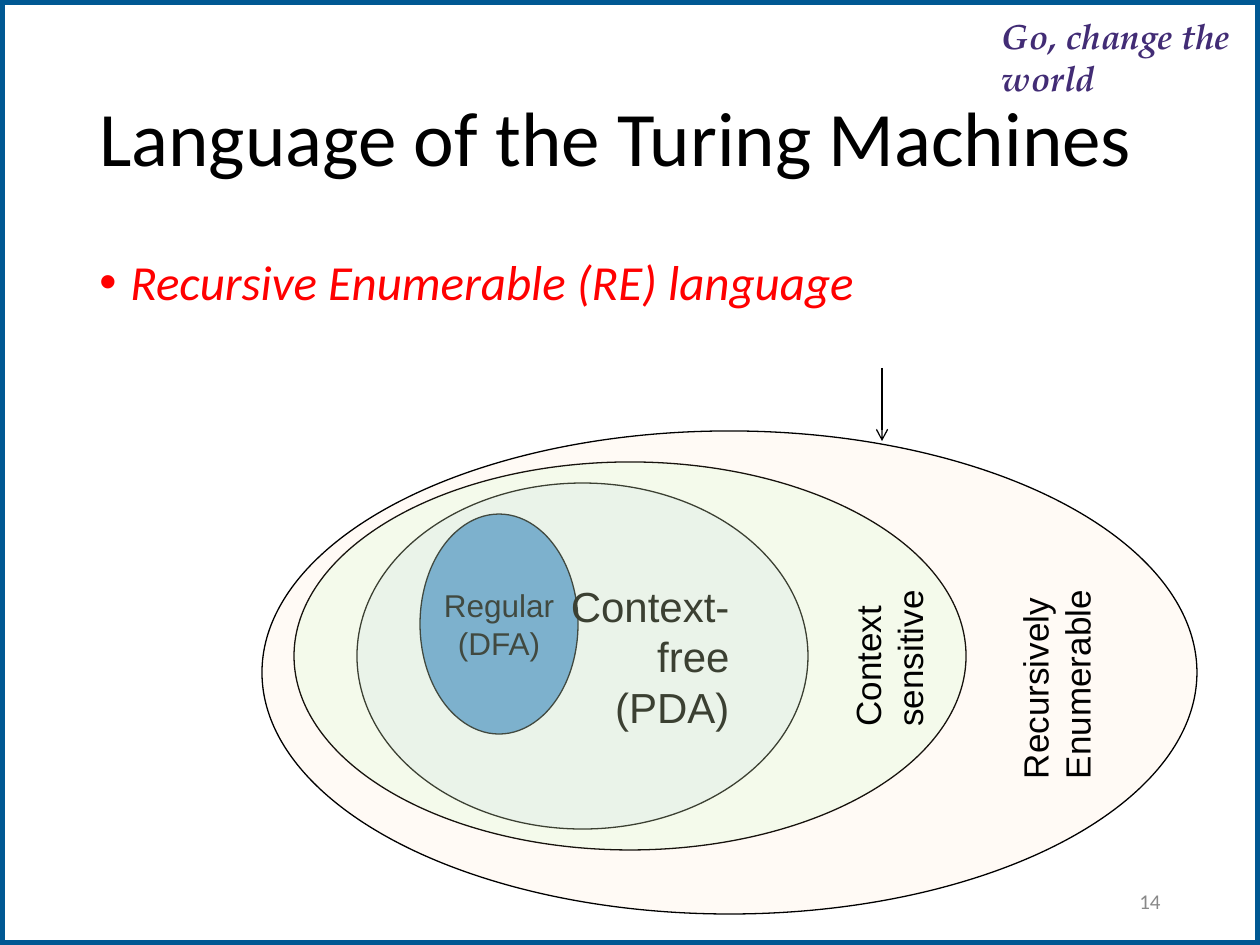
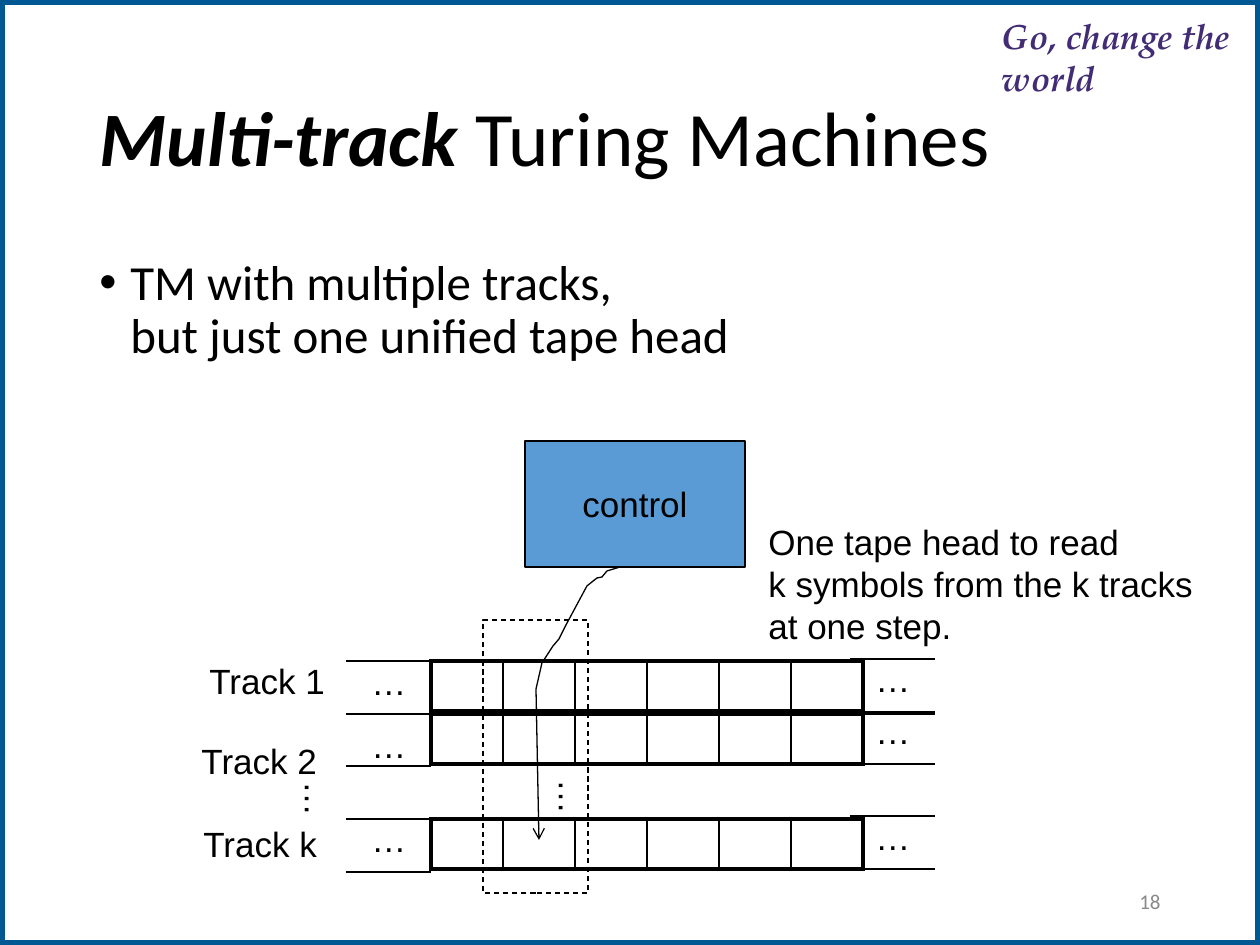
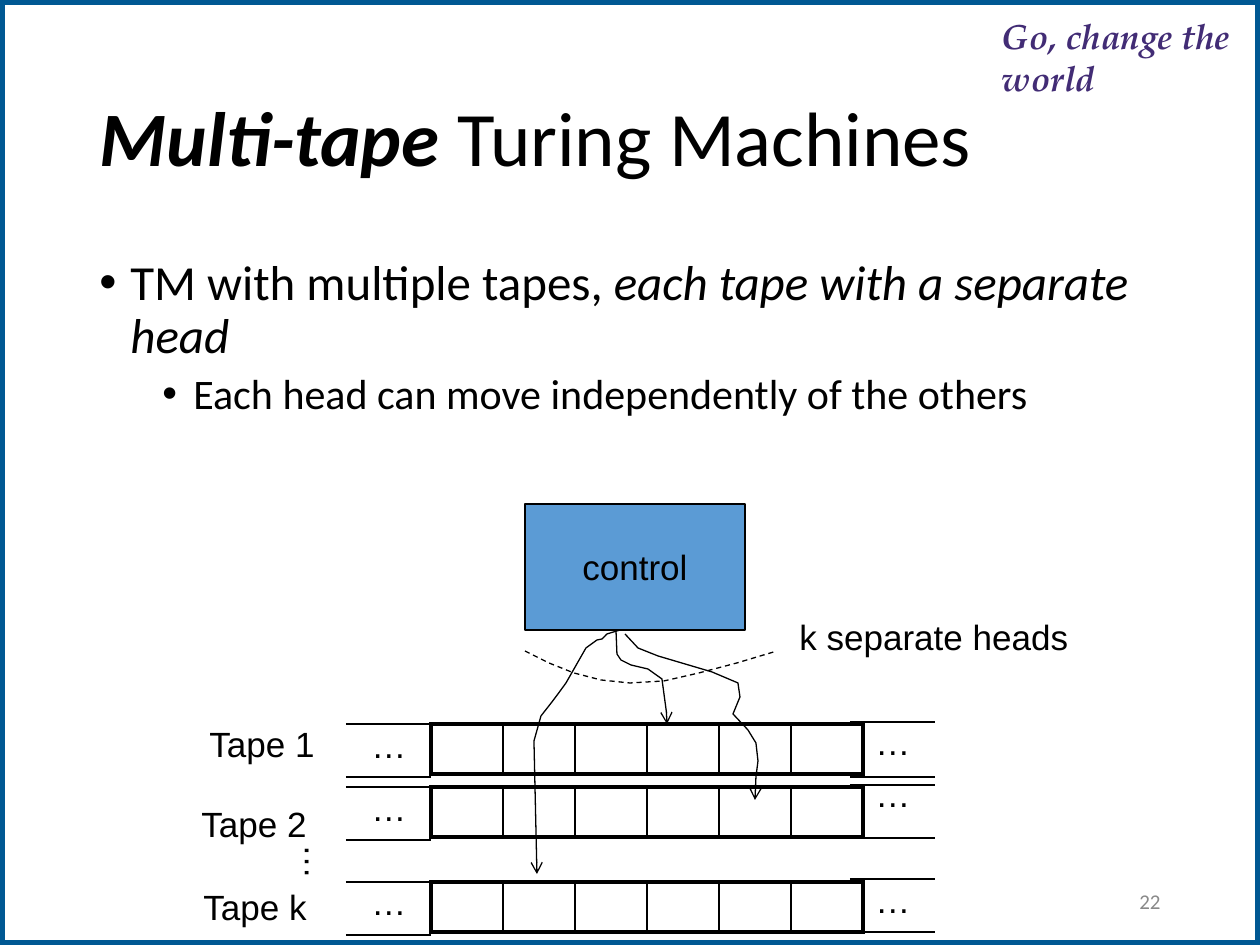
import pptx
import pptx.util
import pptx.dml.color
import pptx.enum.dml
import pptx.enum.shapes
import pptx.enum.text
import pptx.oxml
import pptx.oxml.ns
from lxml import etree

RGB = pptx.dml.color.RGBColor
BLACK = RGB(0x00, 0x00, 0x00)
WHITE = RGB(0xFF, 0xFF, 0xFF)
NAVY = RGB(0x00, 0x58, 0x93)
PURPLE = RGB(0x42, 0x2C, 0x75)
GRAY = RGB(0x89, 0x89, 0x89)
RED = RGB(0xFF, 0x00, 0x00)
BLUE = RGB(0x5B, 0x9B, 0xD5)
GREEN = RGB(0xCC, 0xFF, 0xCC)
PEACH = RGB(0xFF, 0xCC, 0x99)

WIDE, HIGH = 1260, 945
SCALE = 914400 / 126
KIND = pptx.enum.shapes.MSO_SHAPE
ALIGN = pptx.enum.text.PP_ALIGN
MIDDLE = pptx.enum.text.MSO_ANCHOR.MIDDLE
DASH = pptx.enum.dml.MSO_LINE.DASH
BOLD = {"bold": True, "italic": True}
ITALIC = {"italic": True}


def px(*sizes):
    return [pptx.util.Emu(round(size * SCALE)) for size in sizes]


def child(parent, tag, **attrs):
    return etree.SubElement(parent, pptx.oxml.ns.qn(tag), attrs)


def style(font, size, name, color=BLACK, bold=None, italic=None):
    font.size, font.name = pptx.util.Pt(size), name
    font.bold, font.italic = bold, italic
    font.color.rgb = color


def fill_para(para, parts):
    """Add text, given as a string or as (text, font settings) pairs; newlines break lines."""
    pairs = [(parts, {})] if isinstance(parts, str) else parts
    for text, extra in pairs:
        for i, line in enumerate(text.split("\n")):
            if i:
                para.add_line_break()
            run = para.add_run()
            run.text = line
            for key, value in extra.items():
                setattr(run.font, key, value)


def write(frame, paras, size=20, name="Arial", align=ALIGN.LEFT, **look):
    for i, parts in enumerate(paras):
        para = frame.add_paragraph() if i else frame.paragraphs[0]
        para.alignment = align
        style(para.font, size, name, **look)
        fill_para(para, parts)


def label(slide, box, paras, wrap=False, turn=0, **look):
    shape = slide.shapes.add_textbox(*px(*box))
    shape.rotation = turn
    shape.text_frame.word_wrap = wrap
    write(shape.text_frame, paras, **look)
    return shape.text_frame


def outline(shape, color=BLACK, width=0.75, dash=None, arrow=False):
    shape.line.color.rgb = color
    shape.line.width = pptx.util.Pt(width)
    if dash:
        shape.line.dash_style = dash
    if arrow:
        child(shape.line._get_or_add_ln(), "a:tailEnd", type="arrow")


def solid(slide, kind, box, color=None, alpha=None):
    """Add an outlined preset shape; alpha is the opacity in percent."""
    shape = slide.shapes.add_shape(kind, *px(*box))
    shape.shadow.inherit = False
    shape.text_frame.word_wrap = False
    shape.text_frame.vertical_anchor = MIDDLE
    outline(shape)
    if color is None:
        shape.fill.background()
    else:
        shape.fill.solid()
        shape.fill.fore_color.rgb = color
    if alpha:
        tone = shape.fill._xPr.find(".//" + pptx.oxml.ns.qn("a:srgbClr"))
        child(tone, "a:alpha", val=str(alpha * 1000))
    return shape


def line(slide, x1, y1, x2, y2, arrow=False):
    link = slide.shapes.add_connector(
        pptx.enum.shapes.MSO_CONNECTOR.STRAIGHT, *px(x1, y1, x2, y2))
    outline(link, arrow=arrow)
    child(link._element.spPr, "a:effectLst")


def trace(slide, left, top, points, **look):
    """Draw an open path through points relative to left and top."""
    spots = [(left + x, top + y) for x, y in points]
    build = slide.shapes.build_freeform(*spots[0], scale=SCALE)
    build.add_line_segments(spots[1:], close=False)
    shape = build.convert_to_shape()
    shape.shadow.inherit = False
    shape.fill.background()
    outline(shape, **look)


def base(deck, title, number):
    """Start a slide with its frame, motto, title and number."""
    slide = deck.slides.add_slide(deck.slide_layouts[6])
    outline(solid(slide, KIND.RECTANGLE, (0, 0, WIDE, HIGH), WHITE), NAVY, 6)
    motto = label(slide, (1002, 14, 258, 78), ["Go, change the world"], wrap=True,
                  name="TeX Gyre Pagella", color=PURPLE, **BOLD)
    motto.margin_left = motto.margin_right = motto.margin_bottom = 0
    motto.margin_top = px(1)[0]
    motto.paragraphs[0].space_before = pptx.util.Pt(1)
    head = label(slide, (87, 50, 1086, 183), [title], wrap=True, size=44, name="Calibri")
    head.vertical_anchor = MIDDLE
    head.paragraphs[0].line_spacing = 0.9
    page = label(slide, (890, 876, 283, 50), [str(number)], wrap=True, size=12,
                 name="Calibri", align=ALIGN.RIGHT, color=GRAY)
    page.vertical_anchor = MIDDLE
    return slide


def body(slide, paras, **look):
    """Write bullets; each paragraph after the first is one level down."""
    frame = label(slide, (87, 252, 1086, 600), paras, wrap=True, size=28,
                  name="Calibri", **look)
    for i, para in enumerate(frame.paragraphs):
        para.line_spacing = 0.9
        para.space_before = pptx.util.Pt(5 if i else 10)
        para.font.size = pptx.util.Pt(24 if i else 28)
        props = para._p.get_or_add_pPr()
        left, hang = px(94 if i else 31, -31)
        props.set("marL", str(left))
        props.set("indent", str(hang))
        mark = pptx.oxml.parse_xml(
            f'<a:buFont {pptx.oxml.ns.nsdecls("a")} typeface="Arial"/>')
        props.find(pptx.oxml.ns.qn("a:defRPr")).addprevious(mark)
        bullet = etree.Element(pptx.oxml.ns.qn("a:buChar"), char="•")
        mark.addnext(bullet)


def classes(slide, left, top):
    """Draw the nested language classes, the innermost at the back."""
    rings = [
        ((158, 83, 158, 220), BLUE, None, ["Regular", "(DFA)"], 18, ALIGN.CENTER),
        ((95, 52, 451, 346), BLUE, 9, ["Context-\nfree", "(PDA)"], 24, ALIGN.RIGHT),
        ((32, 31, 672, 388), GREEN, 20, [], 20, ALIGN.LEFT),
        ((0, 0, 935, 483), PEACH, 9, [], 20, ALIGN.LEFT),
    ]
    for (x, y, w, h), color, alpha, paras, size, align in rings:
        ring = solid(slide, KIND.OVAL, (left + x, top + y, w, h), color, alpha)
        write(ring.text_frame, paras, size=size, align=align)
    label(slide, (left + 541, top + 174, 171, 97), ["Context", "sensitive"], turn=270)
    label(slide, (left + 687, top + 205, 214, 97), ["Recursively\nEnumerable"], turn=270)
    line(slide, left + 620, top - 63, left + 620, top + 10, arrow=True)


def border(cell, sides):
    props = cell._tc.get_or_add_tcPr()
    for side, width in sides.items():
        edge = child(props, "a:ln" + side, w=str(pptx.util.Pt(width)))
        child(child(edge, "a:solidFill"), "a:srgbClr", val=str(BLACK))


def strip(slide, left, top, count=6, width=72, height=50):
    """Draw one row of empty tape cells."""
    table = slide.shapes.add_table(
        1, count, *px(left, top, count * width, height)).table
    table.first_row = table.horz_banding = False
    for i in range(count):
        table.columns[i].width = px(width)[0]
        cell = table.cell(0, i)
        cell.margin_top = cell.margin_bottom = 0
        border(cell, {"L": 1 if i else 2.25, "R": 1 if i < count - 1 else 2.25,
                      "T": 2.25, "B": 2.25})
        cell.fill.background()


def dots(slide, x, y, turn=0):
    label(slide, (x, y, 60, 54), ["…"], turn=turn)


def machine(slide, left, top, noun, rows, edges):
    """Draw the control and its tapes.

    rows holds the top of each strip and of its left and right dots;
    edges holds the heights of the left and of the right tape edges.
    """
    control = solid(slide, KIND.RECTANGLE, (left + 336, top, 220, 126), BLUE)
    write(control.text_frame, ["control"], align=ALIGN.CENTER)
    for y, before, after in rows:
        strip(slide, left + 242, top + y)
        dots(slide, left + 170, top + before)
        dots(slide, left + 674, top + after)
    for start, heights in zip((157, 661), edges):
        for y in heights:
            line(slide, left + start, top + y, left + start + 85, top + y)
    width = 142 if noun == "Track" else 135
    for mark, x, y in (("1", 8, 212), ("2", 0, 292), ("k", 2, 375)):
        label(slide, (left + x, top + y, width, 55), [f"{noun} {mark}"])
    dots(slide, left + 100, top + 331, turn=90)


def tracks(slide, left, top):
    machine(slide, left, top, "Track",
            [(220, 213, 210), (273, 276, 262), (378, 370, 368)],
            [(220, 273, 325, 378, 431), (218, 271, 273, 323, 375, 428)])
    head = [(431, 126), (418, 130), (413, 136), (408, 137), (398, 145), (377, 184),
            (370, 198), (364, 205), (353, 222), (347, 248), (350, 399)]
    trace(slide, left, top, head, arrow=True)
    label(slide, (left + 567, top + 73, 452, 140),
          ["One tape head to read\nk symbols from the k tracks\nat one step."])
    window = solid(slide, KIND.RECTANGLE, (left + 294, top + 179, 105, 273))
    window.line.dash_style = DASH
    dots(slide, left + 354, top + 329, turn=90)


def tapes(slide, left, top):
    machine(slide, left, top, "Tape",
            [(220, 213, 210), (283, 276, 262), (378, 370, 368)],
            [(220, 283, 273, 336, 378, 431), (218, 281, 273, 334, 375, 428)])
    heads = [
        [(427, 126), (428, 150), (432, 156), (442, 161), (459, 165), (473, 175),
         (478, 212), (478, 220)],
        [(436, 130), (449, 144), (469, 152), (523, 168), (549, 179), (551, 193),
         (544, 210), (559, 226), (567, 239), (569, 257), (567, 273), (566, 296)],
        [(431, 126), (418, 130), (413, 135), (408, 136), (397, 144), (377, 179),
         (369, 190), (363, 198), (352, 212), (345, 237), (348, 370)],
    ]
    for head in heads:
        trace(slide, left, top, head, arrow=True)
    label(slide, (left + 598, top + 105, 294, 54), ["k separate heads"])
    arc = [(336, 147), (360, 159), (385, 169), (412, 176), (441, 179),
           (475, 177), (510, 169), (548, 159), (588, 147)]
    trace(slide, left, top, arc, dash=DASH)


def main():
    deck = pptx.Presentation()
    deck.slide_width, deck.slide_height = px(WIDE, HIGH)

    slide = base(deck, "Language of the Turing Machines", 14)
    body(slide, ["Recursive Enumerable (RE) language"], color=RED, italic=True)
    classes(slide, 262, 431)

    slide = base(deck, [("Multi-track", BOLD), (" Turing Machines", {})], 18)
    body(slide, ["TM with multiple tracks, \nbut just one unified tape head"])
    tracks(slide, 189, 441)

    slide = base(deck, [("Multi-tape", BOLD), (" Turing Machines", {})], 22)
    body(slide, [[("TM with multiple tapes, ", {}),
                  ("each tape with a separate head", ITALIC)],
                 "Each head can move independently of the others"])
    tapes(slide, 189, 504)

    deck.save("out.pptx")


if __name__ == "__main__":
    main()
